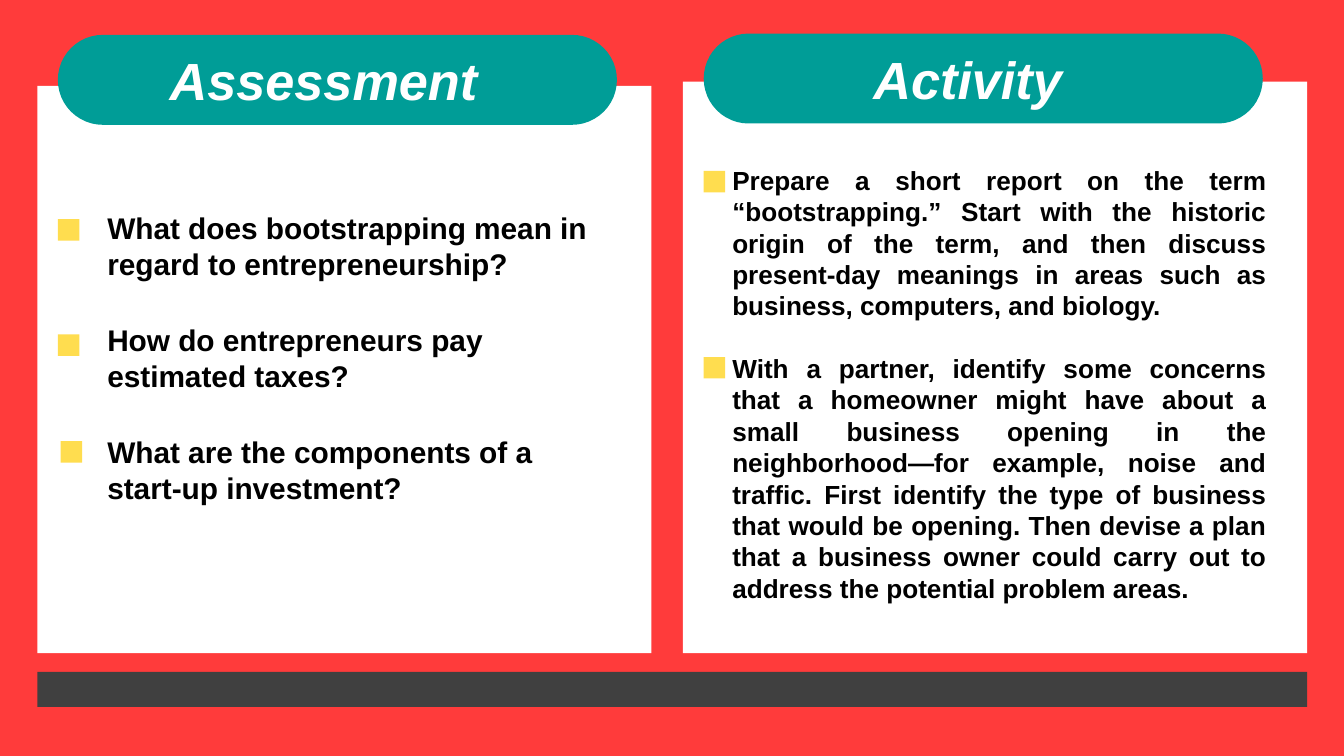
from dataclasses import dataclass

from pptx import Presentation
from pptx.dml.color import RGBColor
from pptx.enum.shapes import MSO_SHAPE as Shape
from pptx.enum.text import PP_ALIGN as Align
from pptx.util import Pt


@dataclass(frozen=True)
class Theme:
    font: str = "Arial"
    background: str = "FF3B3B"
    panel: str = "FFFFFF"
    banner: str = "009D97"
    marker: str = "FFDD4F"
    footer: str = "404040"
    heading: str = "FFFFFF"
    body: str = "000000"
    heading_size: int = 28
    question_size: int = 16
    activity_size: int = 14


class SlideBuilder:
    def __init__(self, slide, theme):
        self.slide = slide
        self.theme = theme
        fill = slide.background.fill
        fill.solid()
        fill.fore_color.rgb = RGBColor.from_string(theme.background)

    def block(self, left, top, width, height, color, kind=Shape.RECTANGLE):
        block = self.slide.shapes.add_shape(
            kind, Pt(left), Pt(top), Pt(width), Pt(height))
        block.shadow.inherit = False
        block.fill.solid()
        block.fill.fore_color.rgb = RGBColor.from_string(color)
        block.line.fill.background()
        return block

    def banner(self, left, top):
        banner = self.block(left, top, 299.5, 48.2, self.theme.banner,
                            Shape.ROUNDED_RECTANGLE)
        banner.adjustments[0] = 0.5

    def marker(self, left, top):
        self.block(left, top, 11.5, 11.5, self.theme.marker)

    def text(self, left, top, width, height, lines, size, color,
             align=Align.LEFT, italic=False, indent=0, pitch=None, gap=0):
        box = self.slide.shapes.add_textbox(
            Pt(left), Pt(top), Pt(width), Pt(height))
        frame = box.text_frame
        frame.word_wrap = True
        for index, line in enumerate(lines):
            para = frame.add_paragraph() if index else frame.paragraphs[0]
            para.alignment = align
            if indent:
                para._p.get_or_add_pPr().set("marL", str(Pt(indent)))
            if pitch:
                para.line_spacing = Pt(pitch)
            if index:
                para.space_before = Pt(gap)
            span = para.add_run()
            span.text = line
            span.font.name = self.theme.font
            span.font.size = Pt(size)
            span.font.bold = True
            span.font.italic = italic
            span.font.color.rgb = RGBColor.from_string(color)

    def heading(self, left, top, width, title, align):
        self.text(left, top, width, 41, [title], self.theme.heading_size,
                  self.theme.heading, align, italic=True)


QUESTIONS = [
    "What does bootstrapping mean in regard to entrepreneurship?",
    "How do entrepreneurs pay estimated taxes?",
    "What are the components of a start-up investment?",
]
ACTIVITIES = [
    "Prepare a short report on the term “bootstrapping.” Start with the "
    "historic origin of the term, and then discuss present-day meanings in "
    "areas such as business, computers, and biology.",
    "With a partner, identify some concerns that a homeowner might have about "
    "a small business opening in the neighborhood—for example, noise and "
    "traffic. First identify the type of business that would be opening. Then "
    "devise a plan that a business owner could carry out to address the "
    "potential problem areas.",
]
MARKERS = [(31, 117.4), (31, 179.2), (32.5, 236.4), (377, 91.6), (377, 191.3)]


def main():
    deck = Presentation()
    deck.slide_width, deck.slide_height = Pt(720), Pt(405)
    theme = Theme()
    page = SlideBuilder(deck.slides.add_slide(deck.slide_layouts[6]), theme)

    page.block(20, 46, 329, 304, theme.panel)
    page.banner(31, 18.7)
    page.block(365.8, 43.8, 334.5, 306.2, theme.panel)
    page.banner(377, 18)

    page.heading(54, 22.5, 238.5, "Assessment", Align.CENTER)
    page.heading(460.8, 21.8, 215, "Activity", Align.LEFT)
    page.text(14.4, 108.7, 316, 167, QUESTIONS, theme.question_size,
              theme.body, indent=36, pitch=19.3, gap=21.4)
    page.text(385.2, 84.4, 300.5, 245, ACTIVITIES, theme.activity_size,
              theme.body, Align.JUSTIFY, pitch=16.8, gap=16.8)

    for left, top in MARKERS:
        page.marker(left, top)
    page.block(20, 360, 680.3, 18.7, theme.footer)

    deck.save("out.pptx")


if __name__ == "__main__":
    main()
